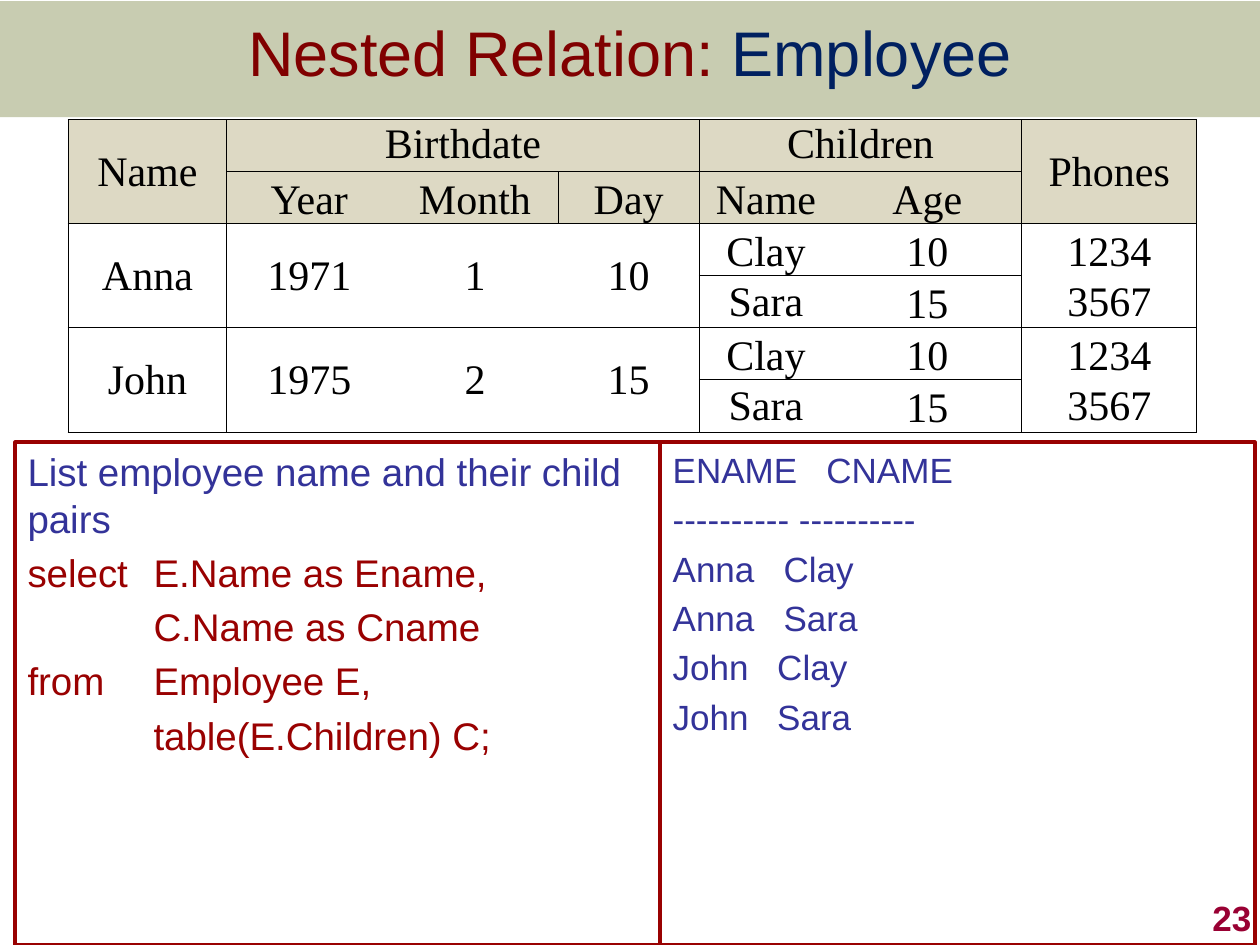
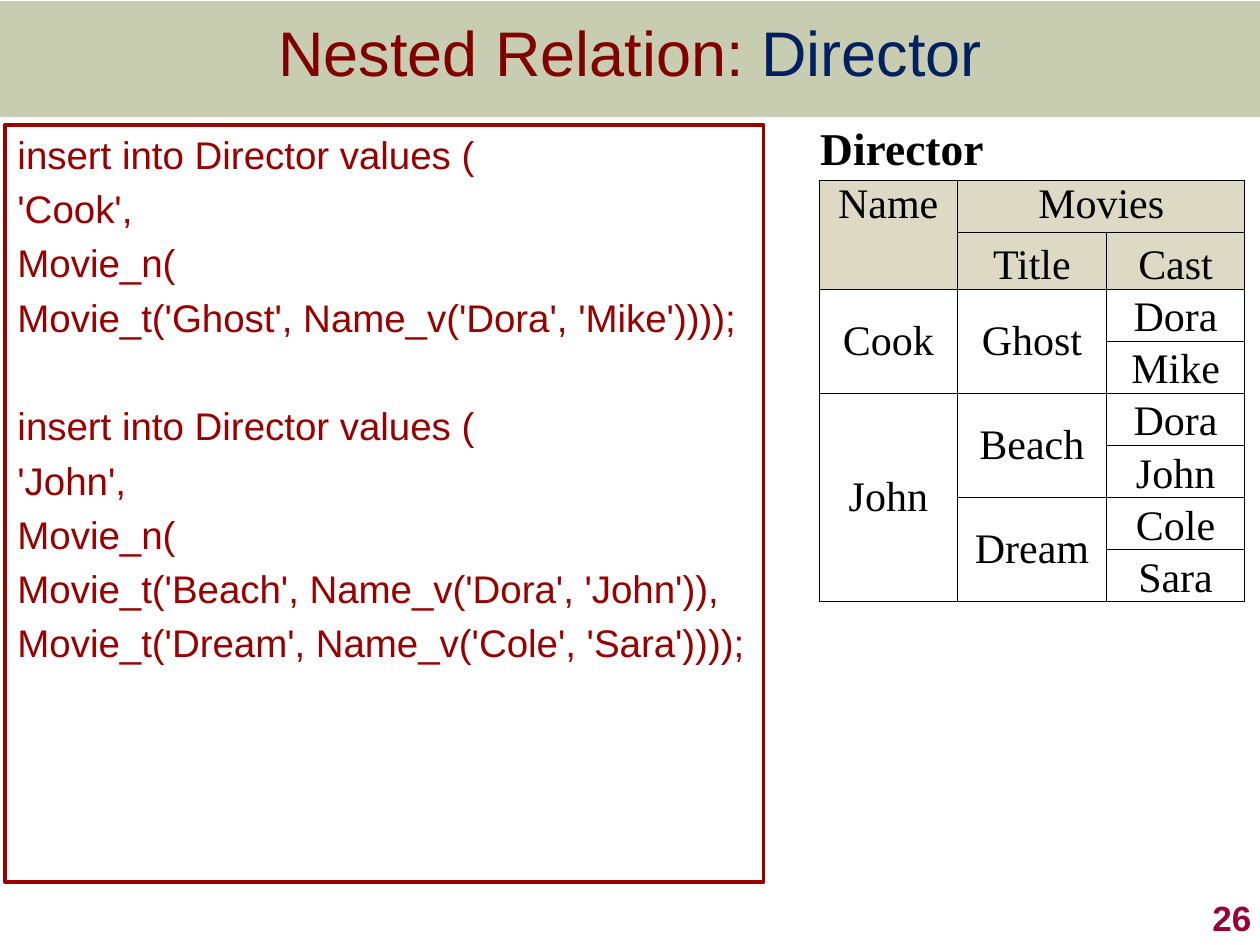
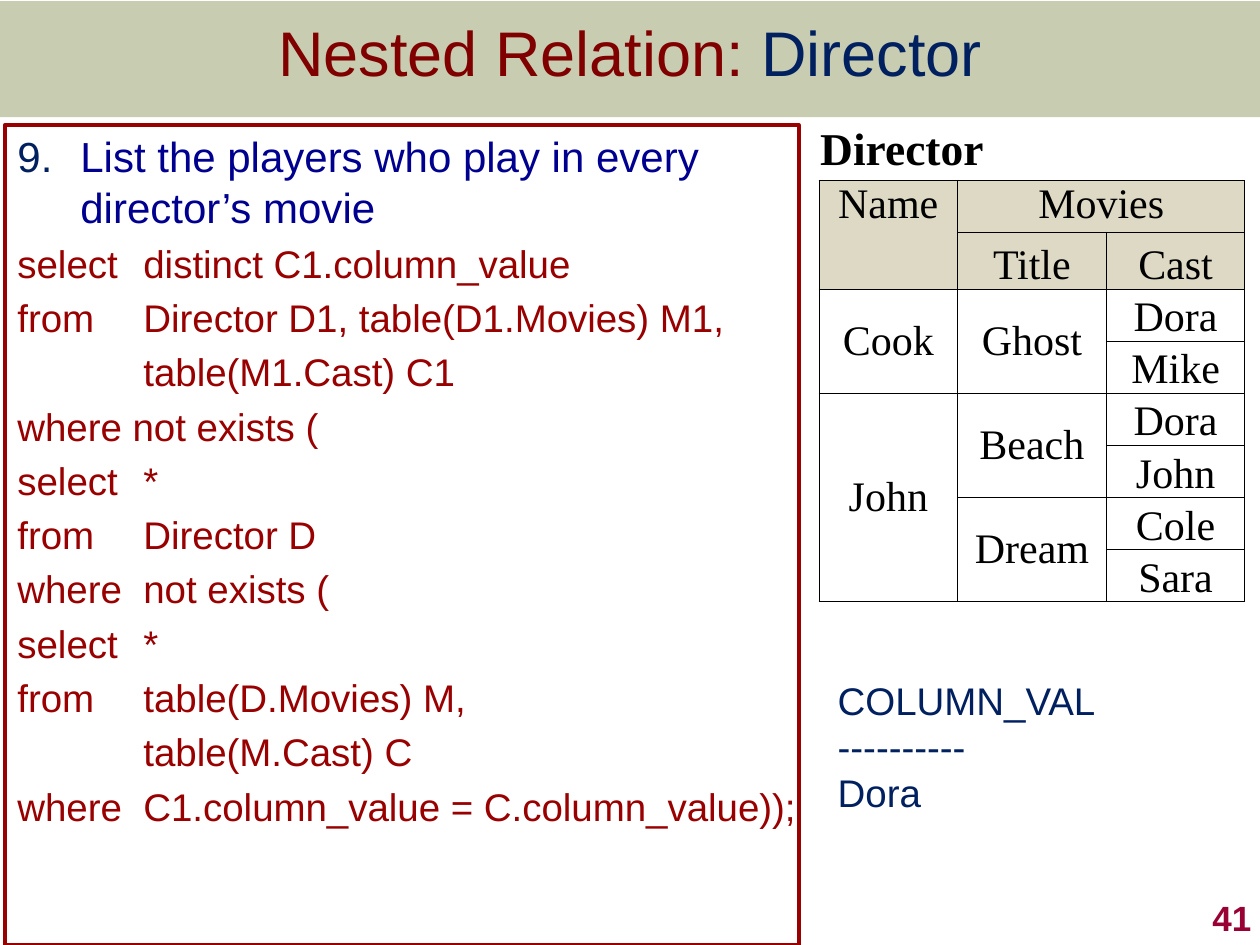
from lxml import etree
from pptx import Presentation
from pptx import util as u
from pptx.dml.color import RGBColor
from pptx.enum import shapes, text
from pptx.oxml import ns, parse_xml

WIDTH, HEIGHT = 10, 7.5
ROW = 2.48 / 6
SANS, SERIF = "Arial", "Times New Roman"
BLACK, WHITE = "000000", "FFFFFF"
OLIVE, SAND = "677228", "DDD9C4"
MAROON, RED, CRIMSON = "800000", "990101", "990033"
NAVY, INDIGO, BLUE = "002060", "333399", "000090"
TOP, MIDDLE, BOTTOM = (text.MSO_ANCHOR.TOP, text.MSO_ANCHOR.MIDDLE,
                       text.MSO_ANCHOR.BOTTOM)


def color(value):
    return RGBColor.from_string(value)


def inches(*lengths):
    return [u.Inches(length) for length in lengths]


def element(markup):
    tag, rest = markup.split(" ", 1)
    return parse_xml(f"<{tag} {ns.nsdecls('a')} {rest}")


def set_font(font, size, tint, name=SANS, bold=False):
    font.name, font.size, font.bold = name, u.Pt(size), bold
    font.color.rgb = color(tint)


def prepare_layout(layout, page):
    band = page.shapes.add_shape(shapes.MSO_SHAPE.RECTANGLE,
                                 *inches(0, 0.01, WIDTH, 0.92))
    band.shadow.inherit = False
    band.fill.solid()
    band.fill.fore_color.rgb = color(OLIVE)
    band.line.fill.background()
    tint = band.element.find(".//" + ns.qn("a:srgbClr"))
    etree.SubElement(tint, ns.qn("a:alpha"), val="36000")
    layout.shapes.element.insert(2, band.element)
    title = layout.placeholders[0]
    title.left, title.top, title.width, title.height = inches(0, 0, WIDTH, 0.82)


def add_title(page, relation):
    frame = page.shapes.title.text_frame
    frame.vertical_anchor = MIDDLE
    para = frame.paragraphs[0]
    para.alignment = text.PP_ALIGN.CENTER
    for words, tint in (("Nested Relation: ", MAROON), (relation, NAVY)):
        span = para.add_run()
        span.text = words
        set_font(span.font, 36, tint)


def write(frame, lines, size, tint, bold=False, tab=1, spacing=0.21,
          gap=0, number=None, align=text.PP_ALIGN.LEFT):
    for index, line in enumerate(lines):
        para = frame.paragraphs[0]
        if para.text:
            para = frame.add_paragraph()
        para.text = line
        para.alignment = align
        props = para._p.get_or_add_pPr()
        if number:
            props.set("marL", str(u.Inches(0.5)))
            props.set("indent", str(u.Inches(-0.5)))
            props.append(element(f'a:buClr ><a:srgbClr val="{NAVY}"/></a:buClr>'))
            props.append(element(
                f'a:buAutoNum type="arabicPeriod" startAt="{number}"/>'))
        if "\t" in line:
            props.append(element(
                f'a:tabLst ><a:tab pos="{u.Inches(tab)}" algn="l"/></a:tabLst>'))
        para.space_before = u.Pt(size * spacing + (gap if index == 0 else 0))
        set_font(para.font, size, tint, bold=bold)


def add_panel(page, left, top, width, height):
    panel = page.shapes.add_shape(shapes.MSO_SHAPE.RECTANGLE,
                                  *inches(left, top, width, height))
    panel.shadow.inherit = False
    panel.fill.background()
    panel.line.color.rgb = color(RED)
    panel.line.width = u.Pt(2)
    frame = panel.text_frame
    frame.word_wrap = True
    frame.vertical_anchor = TOP
    frame.margin_left, frame.margin_right = inches(0.1, 0)
    return frame


def add_text_box(page, left, top, width, height, anchor=TOP):
    frame = page.shapes.add_textbox(*inches(left, top, width, height)).text_frame
    frame.word_wrap = True
    frame.vertical_anchor = anchor
    return frame


def add_page_number(page, number):
    frame = add_text_box(page, 7.95, 7, 2.08, 0.5, BOTTOM)
    write(frame, [str(number)], 20, CRIMSON, bold=True, spacing=0,
          align=text.PP_ALIGN.RIGHT)


def set_borders(cell, open_sides):
    props = cell._tc.get_or_add_tcPr()
    for index, side in enumerate("LRTB"):
        fill = ("<a:noFill/>" if side in open_sides else
                f'<a:solidFill><a:srgbClr val="{BLACK}"/></a:solidFill>')
        props.insert(index, element(
            f'a:ln{side} w="{u.Pt(0.5)}">{fill}</a:ln{side}>'))


def add_relation(page, left, top, columns, rows, content, headers, merges,
                 anchors, open_sides):
    table = page.shapes.add_table(
        len(rows), len(columns),
        *inches(left, top, sum(columns), sum(rows))).table
    table.first_row = table.horz_banding = False
    for column, width in zip(table.columns, columns):
        column.width = u.Inches(width)
    for row, height in zip(table.rows, rows):
        row.height = u.Inches(height)
    for r, line in enumerate(content):
        for c, words in enumerate(line):
            cell = table.cell(r, c)
            cell.text = words
            cell.margin_left = cell.margin_right = cell.margin_top = u.Inches(0.01)
            cell.margin_bottom = 0
            down = merges.get((r, c), (1, 1))[0]
            cell.vertical_anchor = anchors.get((r, c), MIDDLE if down > 1 else BOTTOM)
            cell.fill.solid()
            cell.fill.fore_color.rgb = color(SAND if r in headers else WHITE)
            set_borders(cell, open_sides.get((r, c), ""))
            para = cell.text_frame.paragraphs[0]
            para.alignment = text.PP_ALIGN.CENTER
            set_font(para.font, 24, BLACK, SERIF)
    for (r, c), (down, across) in merges.items():
        table.cell(r, c).merge(table.cell(r + down - 1, c + across - 1))
    return table


def add_employee_table(page):
    content = [
        ["Name", "Birthdate", "", "", "Children", "", "Phones"],
        ["", "Year", "Month", "Day", "Name", "Age", ""],
        ["Anna", "1971", "1", "10", "Clay", "10", "1234"],
        ["", "", "", "", "Sara", "15", "3567"],
        ["John", "1975", "2", "15", "Clay", "10", "1234"],
        ["", "", "", "", "Sara", "15", "3567"],
    ]
    merges = {(0, 0): (2, 1), (0, 1): (1, 3), (0, 4): (1, 2), (0, 6): (2, 1)}
    merges.update({(r, c): (2, 1) for r in (2, 4) for c in range(4)})
    anchors = {(0, 1): TOP, (0, 4): TOP}
    anchors.update({(r, c): MIDDLE for r in (3, 5) for c in (4, 6)})
    open_sides = {(1, 1): "R", (1, 2): "L", (1, 4): "R", (1, 5): "L"}
    for r in range(2, 6):
        for c, sides in enumerate(["R", "LR", "L", "R", "L"], 1):
            open_sides[r, c] = sides
        open_sides[r, 6] = "T" if r % 2 else "B"
    add_relation(page, 0.54, 0.95, [1.26, 1.31, 1.32, 1.12, 1.06, 1.5, 1.39],
                 [ROW] * 6, content, (0, 1), merges, anchors, open_sides)


def add_director_table(page):
    content = [
        ["Director", "", ""],
        ["Name", "Movies", ""],
        ["", "Title", "Cast"],
        ["Cook", "Ghost", "Dora"],
        ["", "", "Mike"],
        ["John", "Beach", "Dora"],
        ["", "", "John"],
        ["", "Dream", "Cole"],
        ["", "", "Sara"],
    ]
    merges = {(0, 0): (1, 3), (1, 0): (2, 1), (1, 1): (1, 2), (3, 0): (2, 1),
              (3, 1): (2, 1), (5, 0): (4, 1), (5, 1): (2, 1), (7, 1): (2, 1)}
    anchors = {(0, 0): TOP, (1, 0): TOP, (1, 1): TOP}
    open_sides = {(0, c): "LRT" for c in range(3)}
    table = add_relation(page, 6.5, 0.98, [1.1, 1.18, 1.1],
                         [0.45, ROW, 0.45] + [ROW] * 6, content, (1, 2),
                         merges, anchors, open_sides)
    para = table.cell(0, 0).text_frame.paragraphs[0]
    para.alignment = text.PP_ALIGN.LEFT
    set_font(para.font, 26, BLACK, SERIF, bold=True)


def fill_employee(page):
    add_title(page, "Employee")
    add_employee_table(page)
    add_page_number(page, 23)
    query = add_panel(page, 0.12, 3.51, 5.12, 3.99)
    write(query, ["List employee name and their child pairs"], 22, INDIGO)
    write(query, ["select\tE.Name as Ename,", "\tC.Name as Cname",
                  "from\tEmployee E,", "\ttable(E.Children) C;"], 22, RED)
    result = add_panel(page, 5.24, 3.51, 4.72, 3.99)
    write(result, ["ENAME\tCNAME", "---------- ----------"], 20, INDIGO, tab=1.22)
    for name, tab in (("Anna", 0.88), ("John", 0.83)):
        write(result, [f"{name}\t{child}" for child in ("Clay", "Sara")],
              20, INDIGO, tab=tab)


def fill_inserts(page):
    add_title(page, "Director")
    add_page_number(page, 26)
    inserts = add_panel(page, 0.04, 0.99, 6.02, 6.01)
    write(inserts, ["insert into Director values (", "'Cook',", "Movie_n(",
                    "Movie_t('Ghost', Name_v('Dora', 'Mike'))));"], 22, RED)
    write(inserts, ["insert into Director values (", "'John',", "Movie_n(",
                    "Movie_t('Beach', Name_v('Dora', 'John')),",
                    "Movie_t('Dream', Name_v('Cole', 'Sara'))));"],
          22, RED, gap=31)
    add_director_table(page)


def fill_query(page):
    add_title(page, "Director")
    add_page_number(page, 41)
    query = add_panel(page, 0.04, 0.99, 6.3, 6.51)
    write(query, ["List the players who play in every director’s movie"],
          24, BLUE, number=9)
    write(query, ["select\tdistinct C1.column_value",
                  "from\tDirector D1, table(D1.Movies) M1,",
                  "\ttable(M1.Cast) C1",
                  "where not exists (",
                  "select\t*",
                  "from\tDirector D",
                  "where\tnot exists (",
                  "select\t*",
                  "from\ttable(D.Movies) M,",
                  "\ttable(M.Cast) C",
                  "where\tC1.column_value = C.column_value));"], 22, RED)
    add_director_table(page)
    result = add_text_box(page, 6.55, 5.32, 3.29, 1.21)
    write(result, ["COLUMN_VAL", "----------", "Dora"], 22, NAVY, spacing=0)


def main():
    deck = Presentation()
    deck.slide_width, deck.slide_height = inches(WIDTH, HEIGHT)
    layout = deck.slide_layouts[5]
    pages = [deck.slides.add_slide(layout) for _ in range(3)]
    prepare_layout(layout, pages[0])
    for page, fill in zip(pages, (fill_employee, fill_inserts, fill_query)):
        fill(page)
    deck.save("out.pptx")


if __name__ == "__main__":
    main()
